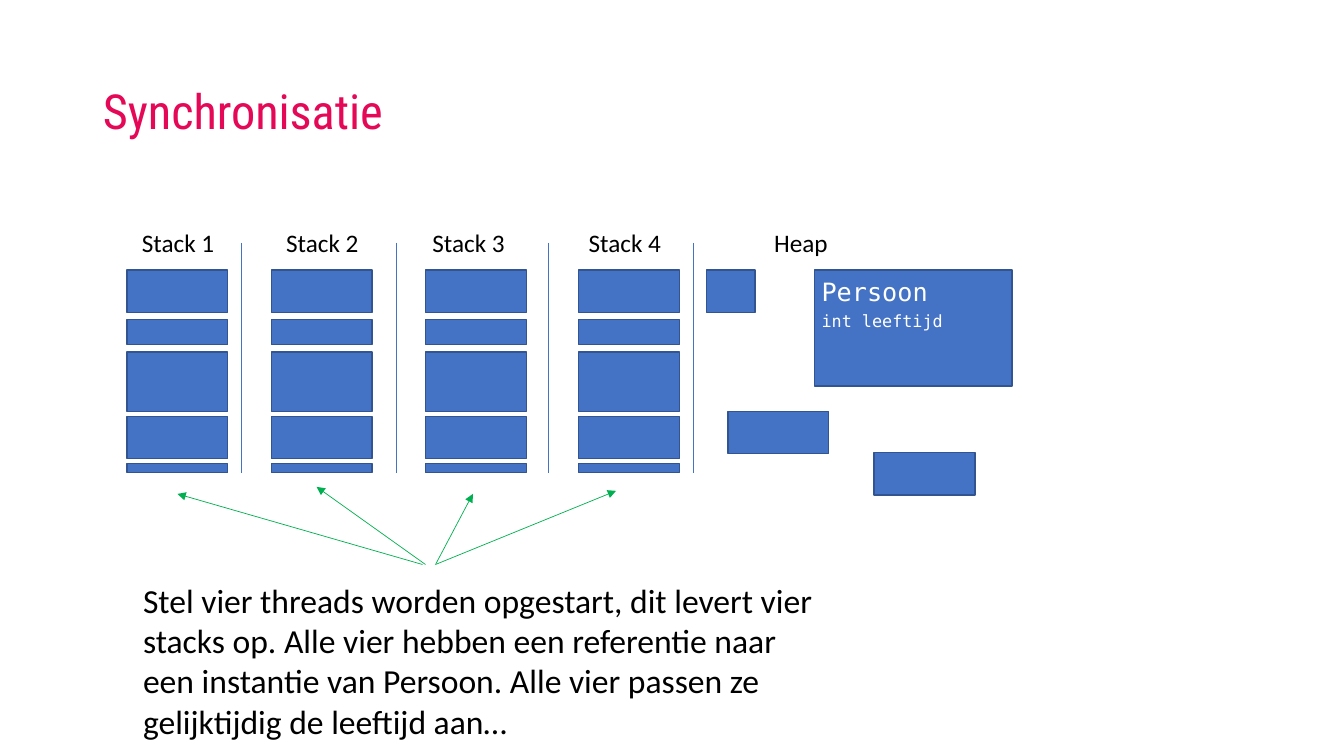
from lxml import etree
from pptx import Presentation
from pptx.dml.color import RGBColor
from pptx.enum import shapes, text
from pptx.oxml import ns
from pptx.util import Inches, Pt

PINK = RGBColor(0xE5, 0x08, 0x56)
BLUE = RGBColor(0x44, 0x72, 0xC4)
DARK_BLUE = RGBColor(0x32, 0x54, 0x91)
GREEN = RGBColor(0x00, 0xB0, 0x50)
BLACK = RGBColor(0, 0, 0)
WHITE = RGBColor(255, 255, 255)

prs = Presentation()
prs.slide_width, prs.slide_height = Inches(13.33), Inches(7.5)
slide = prs.slides.add_slide(prs.slide_layouts[5])


def write(frame, wording, size, font, color):
    frame.word_wrap = True
    paragraph = frame.paragraphs[0]
    paragraph.alignment = text.PP_ALIGN.LEFT
    run = paragraph.add_run()
    run.text = wording
    run.font.size = Pt(size)
    run.font.name = font
    run.font.color.rgb = color


def connect(start, end, color):
    connector = slide.shapes.add_connector(
        shapes.MSO_CONNECTOR.STRAIGHT, *map(Inches, start + end))
    connector.line.color.rgb = color
    connector.line.width = Pt(0.5)
    etree.SubElement(connector._element.spPr, ns.qn("a:effectLst"))
    return connector


# Title
title = slide.shapes.title
title.left, title.top = Inches(0.92), Inches(0.4)
title.width, title.height = Inches(11.5), Inches(1.45)
title.text_frame.auto_size = text.MSO_AUTO_SIZE.NONE
title.text_frame.vertical_anchor = text.MSO_ANCHOR.MIDDLE
write(title.text_frame, "Synchronisatie", 34.5, "Roboto Condensed", PINK)
title.text_frame.paragraphs[0].line_spacing = 0.9

# Dividers between the stacks and the heap
for x in (2.39, 3.93, 5.44, 6.88):
    connect((x, 2.41), (x, 4.69), BLUE)

# Stack frames, the same five in every stack
stack_lefts = (1.26, 2.69, 4.22, 5.74)
frame_rows = ((2.68, 0.42), (3.17, 0.25), (3.49, 0.59), (4.13, 0.42), (4.6, 0.09))
blocks = [(left, top, 1, height) for left in stack_lefts for top, height in frame_rows]

# Heap objects, the large one being Persoon
blocks += [(7.01, 2.68, 0.48, 0.42), (8.08, 2.68, 1.96, 1.15),
           (7.22, 4.08, 1, 0.42), (8.67, 4.49, 1, 0.42)]
for place in blocks:
    block = slide.shapes.add_shape(shapes.MSO_SHAPE.RECTANGLE, *map(Inches, place))
    block.shadow.inherit = False
    block.fill.solid()
    block.fill.fore_color.rgb = BLUE
    block.line.color.rgb = DARK_BLUE
    block.line.width = Pt(1)

# Headings, object fields and explanation
explanation = ("Stel vier threads worden opgestart, dit levert vier stacks op. "
               "Alle vier hebben een referentie naar een instantie van Persoon. "
               "Alle vier passen ze gelijktijdig de leeftijd aan…")
headings = (("Stack 1", 1.31), ("Stack 2", 2.74), ("Stack 3", 4.19),
            ("Stack 4", 5.74), ("Heap", 7.58))
captions = [(wording, (left, 2.21, 1, 0.4), 18, "Calibri", BLACK)
            for wording, left in headings]
captions += [
    ("Persoon", (8.05, 2.69, 1.5, 0.4), 18, "DejaVu Sans Mono", WHITE),
    ("int leeftijd", (8.05, 3.03, 1.61, 0.3), 12, "DejaVu Sans Mono", WHITE),
    (explanation, (1.32, 5.7, 6.91, 1.72), 24, "Calibri", BLACK),
]
for wording, place, size, font, color in captions:
    caption = slide.shapes.add_textbox(*map(Inches, place))
    caption.text_frame.auto_size = text.MSO_AUTO_SIZE.SHAPE_TO_FIT_TEXT
    write(caption.text_frame, wording, size, font, color)

# Arrows from the explanation to each stack
for start_x, tip in ((4.19, (1.76, 4.9)), (4.22, (3.14, 4.83)),
                     (4.32, (4.69, 4.9)), (4.32, (6.11, 4.87))):
    arrow = connect((start_x, 5.6), tip, GREEN)
    etree.SubElement(arrow.line._get_or_add_ln(), ns.qn("a:tailEnd"), type="triangle")

prs.save("out.pptx")
